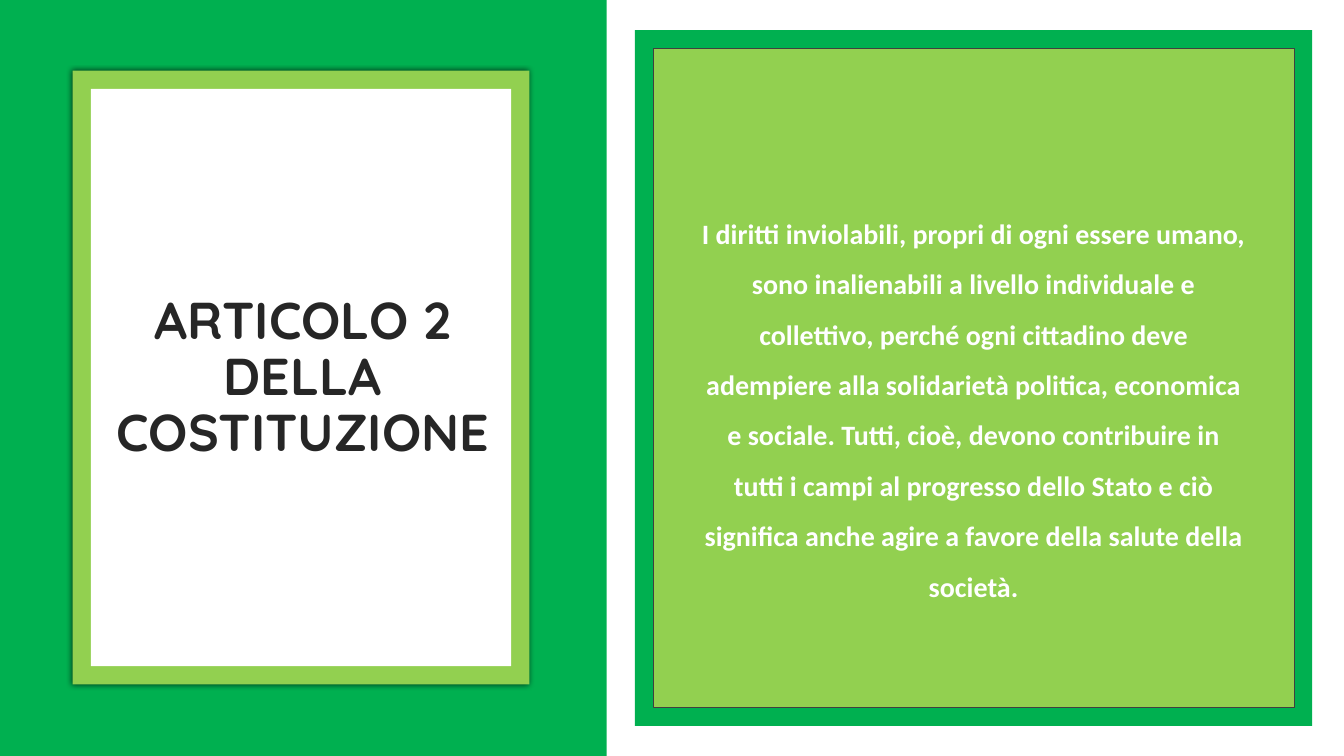
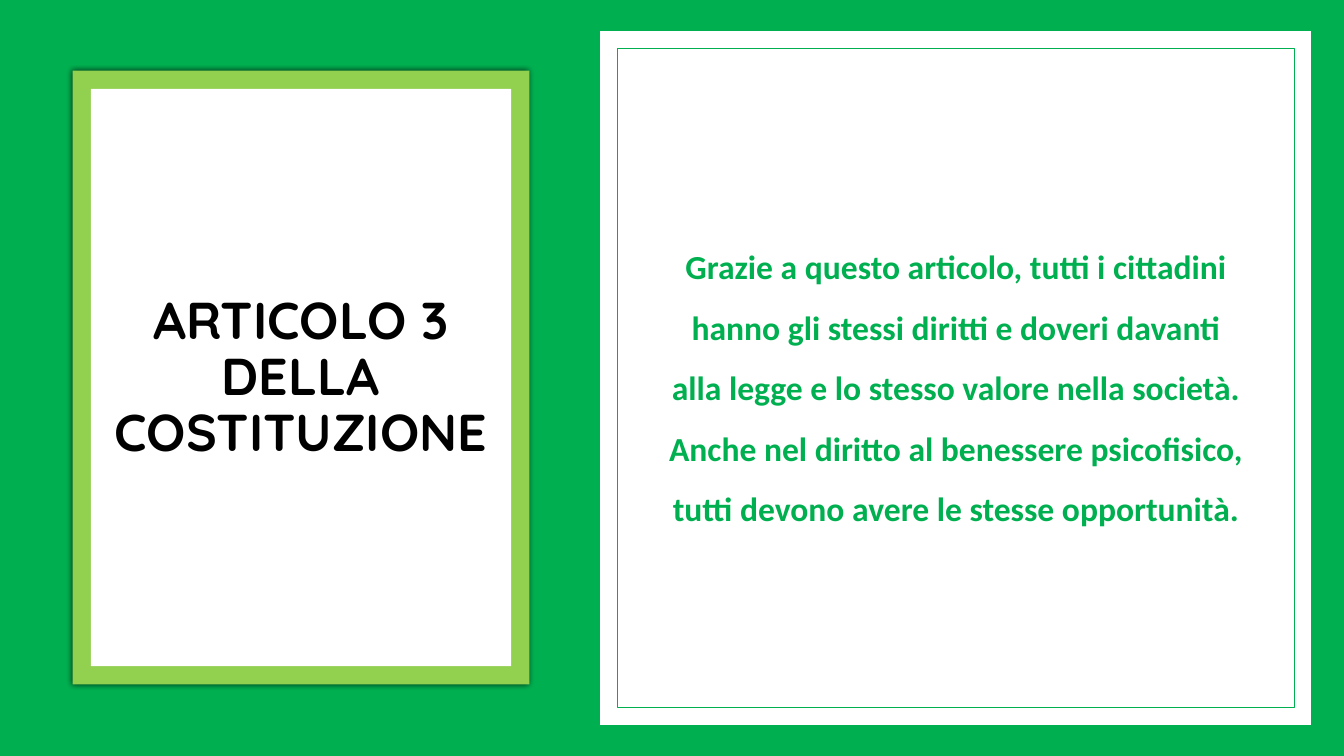
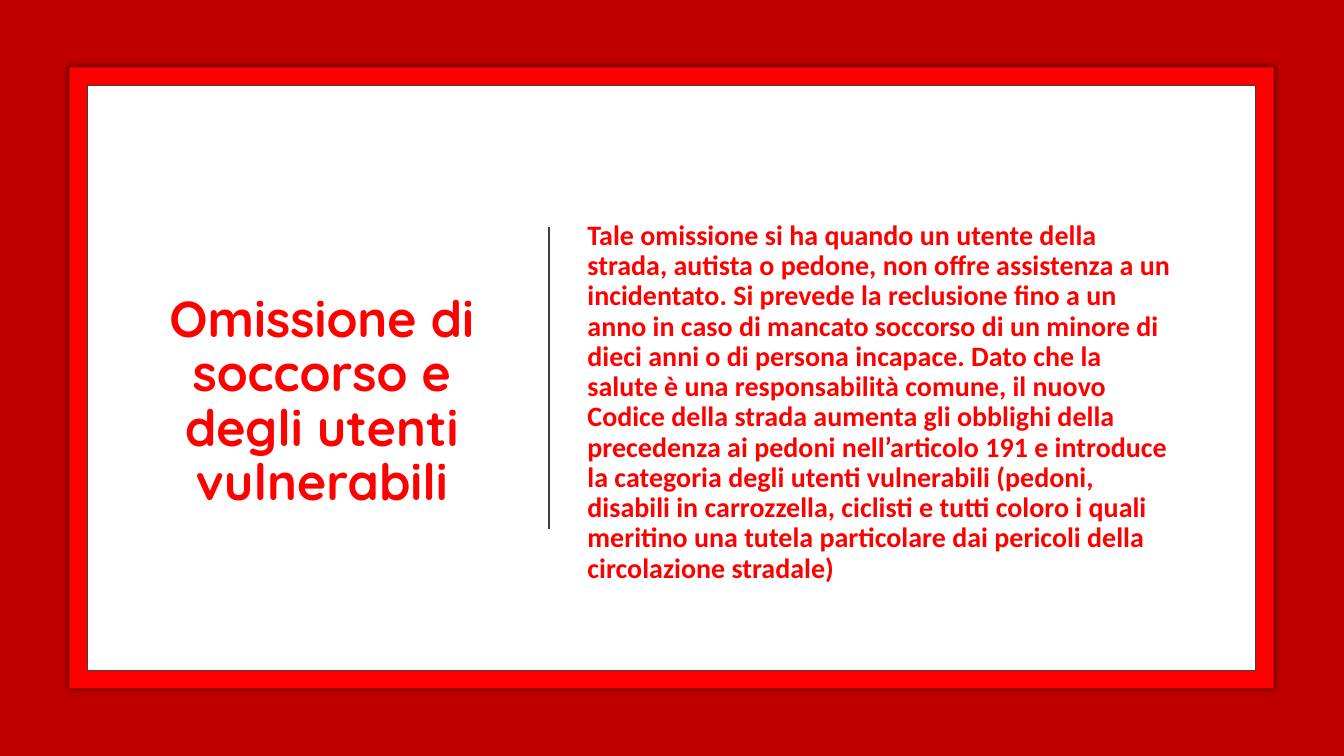
import pptx
import pptx.util
import pptx.dml.color
import pptx.enum.shapes
import pptx.enum.text
import pptx.oxml
import pptx.oxml.ns
import lxml.etree

Cm = pptx.util.Cm
Pt = pptx.util.Pt
ALIGN = pptx.enum.text.PP_ALIGN
COLOURS = {
    "white": "FFFFFF", "black": "000000", "ink": "262626", "grey": "404040",
    "green": "00B050", "lime": "92D050", "red": "FF0000", "dark_red": "C00000",
}
SLIDE = (0, 0, 33.87, 19.05)
BORDER = (0.46, 0.46, 0.46, 0.46)
TITLE_FRAME = (1.83, 1.78, 11.51, 15.47)
TITLE_FORMAT = {"name": "Quicksand", "size": Pt(37), "bold": True}
BODY_FORMAT = {"name": "Calibri", "size": Pt(20), "bold": True}
TITLE_PARA = {"alignment": ALIGN.CENTER, "line_spacing": 0.9, "space_before": Pt(0)}
BODY_PARA = {"alignment": ALIGN.CENTER, "line_spacing": 1.5, "space_before": Pt(9)}


def apply(target, values):
    for name, value in values.items():
        setattr(target, name, value)


def colour(name):
    return pptx.dml.color.RGBColor.from_string(COLOURS[name])


def inset(box, margins):
    left, top, width, height = box
    west, north, east, south = margins
    return left + west, top + north, width - west - east, height - north - south


def paint(shape, fill=None, line=None, weight=1):
    if fill:
        shape.fill.solid()
        shape.fill.fore_color.rgb = colour(fill)
    else:
        shape.fill.background()
    if line:
        shape.line.color.rgb = colour(line)
        shape.line.width = Pt(weight)
    else:
        shape.line.fill.background()


def rectangle(page, box, **style):
    kind = pptx.enum.shapes.MSO_SHAPE.RECTANGLE
    shape = page.shapes.add_shape(kind, *[Cm(length) for length in box])
    shape.shadow.inherit = False
    paint(shape, **style)
    return shape


def glow(shape):
    effects = shape.element.spPr.find(pptx.oxml.ns.qn("a:effectLst"))
    effects.append(pptx.oxml.parse_xml(
        f'<a:outerShdw {pptx.oxml.ns.nsdecls("a")} blurRad="{Pt(4)}" dist="0" dir="0" '
        f'algn="ctr" rotWithShape="0"><a:srgbClr val="{COLOURS["black"]}">'
        '<a:alpha val="66000"/></a:srgbClr></a:outerShdw>'))


def frame(page, box, outer, inner, outline=None, line=None, weight=0.5, shadow=False):
    border = rectangle(page, box, fill=outer, line=outline)
    if shadow:
        glow(border)
    rectangle(page, inset(box, BORDER), fill=inner, line=line, weight=weight)


def write(page, holder, box, text, ink, font, layout, **style):
    page.shapes._spTree.append(holder.element)
    apply(holder, dict(zip(("left", "top", "width", "height"), map(Cm, box))))
    paint(holder, **style)
    holder.text_frame.text = text
    apply(holder.text_frame, {
        "word_wrap": True,
        "auto_size": pptx.enum.text.MSO_AUTO_SIZE.NONE,
        "vertical_anchor": pptx.enum.text.MSO_ANCHOR.MIDDLE,
    })
    para = holder.text_frame.paragraphs[0]
    apply(para, layout)
    span = para.runs[0]
    apply(span.font, font)
    span.font.color.rgb = colour(ink)
    return para


def write_title(page, box, text, ink, size=37, **style):
    write(page, page.shapes.title, box, text, ink,
          {**TITLE_FORMAT, "size": Pt(size)}, TITLE_PARA, **style)


def write_body(page, box, text, ink, size=20, layout=None, **style):
    holder = page.placeholders[1]
    para = write(page, holder, box, text, ink, {**BODY_FORMAT, "size": Pt(size)},
                 {**BODY_PARA, **(layout or {})}, **style)
    properties = para._p.get_or_add_pPr()
    properties.set("marL", "0")
    properties.set("indent", "0")
    lxml.etree.SubElement(properties, pptx.oxml.ns.qn("a:buNone"))
    return holder


def title_card(page, box, text, ink, margin, line=None):
    frame(page, box, "lime", "white", shadow=True)
    place = inset(box, (margin, 1.52, box[2] - margin - 10.12, 1.47))
    write_title(page, place, text, ink, line=line)


def add_page(deck):
    return deck.slides.add_slide(deck.slide_layouts[1])


def article_two(deck):
    page = add_page(deck)
    rectangle(page, SLIDE, fill="white")
    rectangle(page, (0, 0, 15.29, SLIDE[3]), fill="green")
    title_card(page, TITLE_FRAME, "ARTICOLO 2 DELLA COSTITUZIONE", "ink", 0.74)
    panel = (16, 0.76, 17.07, 17.53)
    frame(page, panel, "green", "lime", line="grey")
    body = write_body(
        page, inset(panel, (1.4, 1.8, 1.4, 1.04)),
        "I diritti inviolabili, propri di ogni essere umano, sono inalienabili a livello "
        "individuale e collettivo, perché ogni cittadino deve adempiere alla solidarietà "
        "politica, economica e sociale. Tutti, cioè, devono contribuire in tutti i campi al "
        "progresso dello Stato e ciò significa anche agire a favore della salute della società.",
        "white")
    body.text_frame.margin_top = Cm(0.53)


def article_three(deck):
    page = add_page(deck)
    rectangle(page, SLIDE, fill="green", line="green")
    title_card(page, TITLE_FRAME, "ARTICOLO 3 DELLA COSTITUZIONE", "black", 0.69, "white")
    panel = (15.11, 0.76, 17.96, 17.53)
    frame(page, panel, "white", None, outline="green", line="green")
    write_body(
        page, inset(panel, (1.42, 1.4, 1.42, 1.45)),
        "Grazie a questo articolo, tutti i cittadini hanno gli stessi diritti e doveri davanti "
        "alla legge e lo stesso valore nella società. Anche nel diritto al benessere "
        "psicofisico, tutti devono avere le stesse opportunità.",
        "green", size=24)


def divider(page, left, top, length):
    kind = pptx.enum.shapes.MSO_CONNECTOR.STRAIGHT
    line = page.shapes.add_connector(kind, Cm(left), Cm(top), Cm(left), Cm(top + length))
    line.line.color.rgb = colour("grey")
    line.line.width = Pt(1.25)
    lxml.etree.SubElement(line.element.spPr, pptx.oxml.ns.qn("a:effectLst"))


def failure_to_assist(deck):
    page = add_page(deck)
    rectangle(page, SLIDE, fill="dark_red")
    card = (1.75, 1.7, 30.35, 15.65)
    frame(page, card, "red", "white", line="grey", shadow=True)
    write_title(page, inset(card, (1.55, 2.87, 19.18, 1.63)),
                "Omissione di soccorso e degli utenti vulnerabili", "red", size=36, fill="white")
    divider(page, card[0] + 12.09, card[1] + 4.01, 7.62)
    write_body(
        page, inset(card, (12.8, 2.87, 2.24, 1.63)),
        "Tale omissione si ha quando un utente della strada, autista o pedone, non offre "
        "assistenza a un incidentato. Si prevede la reclusione fino a un anno in caso di "
        "mancato soccorso di un minore di dieci anni o di persona incapace. Dato che la salute "
        "è una responsabilità comune, il nuovo Codice della strada aumenta gli obblighi della "
        "precedenza ai pedoni nell’articolo 191 e introduce la categoria degli utenti "
        "vulnerabili (pedoni, disabili in carrozzella, ciclisti e tutti coloro i quali "
        "meritino una tutela particolare dai pericoli della circolazione stradale)",
        "red", layout={"alignment": ALIGN.LEFT, "line_spacing": 0.9}, fill="white")


deck = pptx.Presentation()
apply(deck, {"slide_width": Cm(SLIDE[2]), "slide_height": Cm(SLIDE[3])})
for build in (article_two, article_three, failure_to_assist):
    build(deck)
deck.save("out.pptx")
